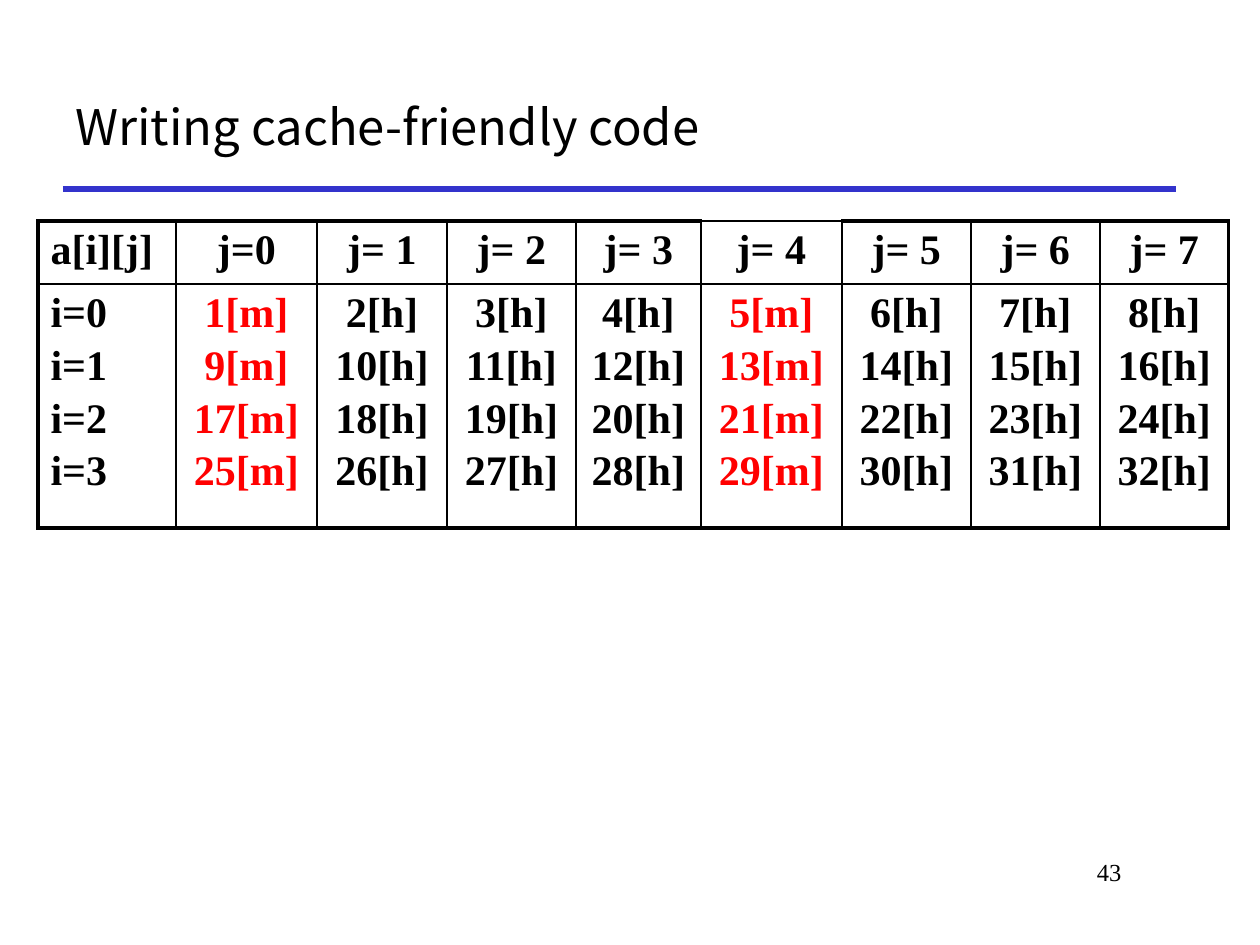
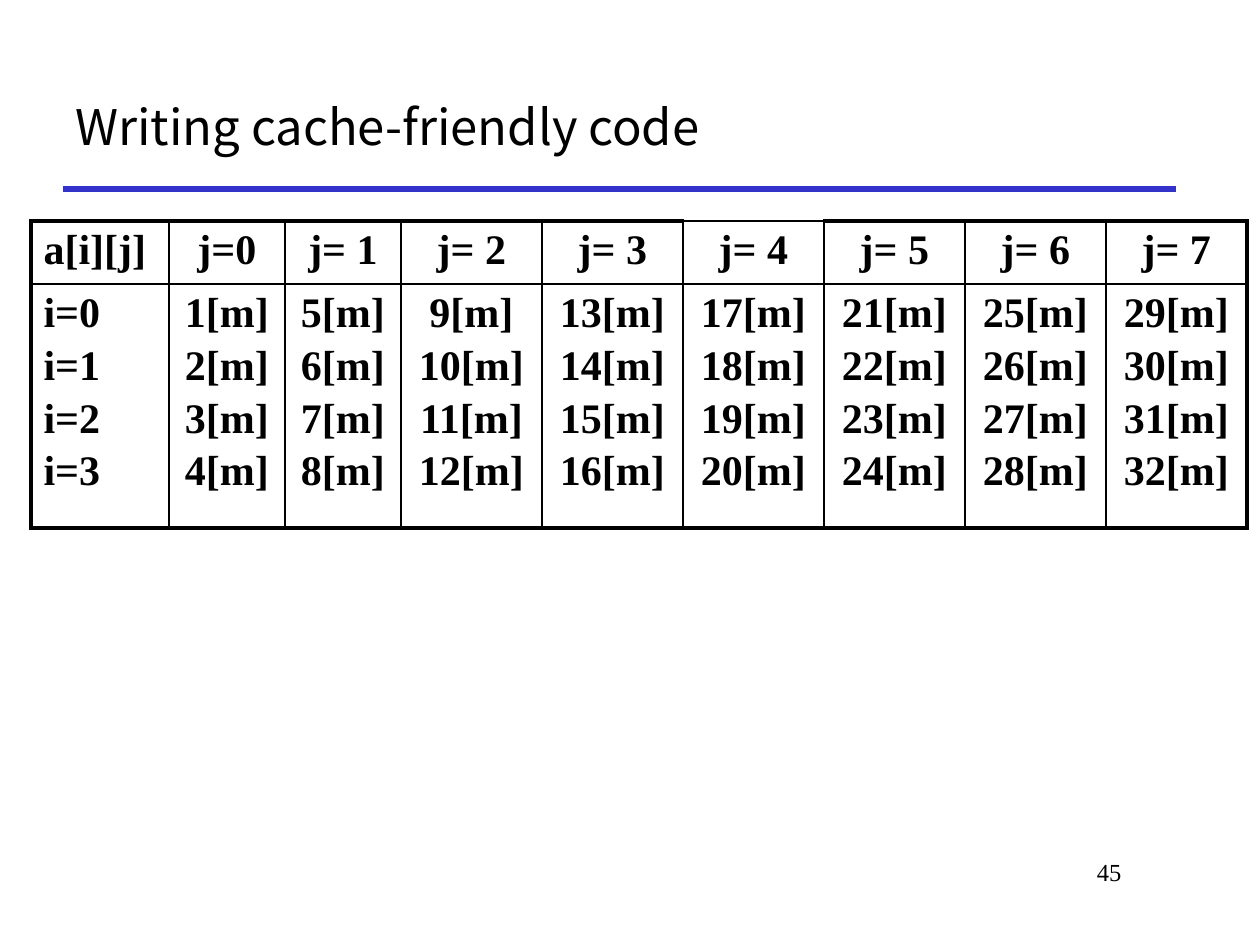
import pptx
import pptx.util
import pptx.dml.color
import pptx.enum.shapes
import pptx.enum.text
import lxml.etree
from pptx.oxml.ns import qn

PX = 914400 // 126
BLACK = pptx.dml.color.RGBColor(0x00, 0x00, 0x00)
RED = pptx.dml.color.RGBColor(0xFF, 0x00, 0x00)
BLUE = pptx.dml.color.RGBColor(0x33, 0x33, 0xCC)
TITLE_FONT, BODY_FONT = "Noto Sans CJK KR", "Times New Roman"
ALIGN = pptx.enum.text.PP_ALIGN
ROWS, COLS = 4, 8
THIN, THICK = 1, 2.25


def format_text(tf, font, size, color, align, bold=False, before=0):
    for p in tf.paragraphs:
        p.alignment = align
        p.space_before = pptx.util.Pt(before)
        for r in p.runs:
            r.font.name = font
            r.font.size = pptx.util.Pt(size)
            r.font.bold = bold
            r.font.color.rgb = color


def set_borders(cell, widths):
    tcPr = cell._tc.get_or_add_tcPr()
    for side, width in zip("LRTB", widths):
        ln = lxml.etree.SubElement(tcPr, qn("a:ln" + side), w=str(pptx.util.Pt(width)))
        fill = lxml.etree.SubElement(ln, qn("a:solidFill"))
        lxml.etree.SubElement(fill, qn("a:srgbClr"), val=str(BLACK))


# Access order of a[i][j]: by rows (one miss per block of 4), then by columns
by_rows = [[f"{COLS * i + j + 1}[{'h' if j % 4 else 'm'}]" for i in range(ROWS)]
           for j in range(COLS)]
by_columns = [[f"{ROWS * j + i + 1}[m]" for i in range(ROWS)] for j in range(COLS)]

# Page number, table left, column widths, accesses, colour of misses
pages = [
    ("43", 38, [138, 141, 130, 129, 125, 141, 129, 129, 129], by_rows, RED),
    ("45", 31, [138, 116, 116] + [141] * 6, by_columns, BLACK),
]

prs = pptx.Presentation()
prs.slide_width, prs.slide_height = 1260 * PX, 945 * PX

for number, left, widths, accesses, miss_color in pages:
    s = prs.slides.add_slide(prs.slide_layouts[5])

    # Title and rule
    title = s.shapes.title
    title.left, title.top, title.width, title.height = 63 * PX, 63 * PX, 1113 * PX, 126 * PX
    tf = title.text_frame
    tf.text = "Writing cache-friendly code"
    tf.auto_size = pptx.enum.text.MSO_AUTO_SIZE.NONE
    tf.vertical_anchor = pptx.enum.text.MSO_ANCHOR.MIDDLE
    format_text(tf, TITLE_FONT, 28, BLACK, ALIGN.LEFT)

    rule = s.shapes.add_connector(pptx.enum.shapes.MSO_CONNECTOR.STRAIGHT,
                                  63 * PX, 189 * PX, 1176 * PX, 189 * PX)
    rule.line.color.rgb = BLUE
    rule.line.width = pptx.util.Pt(3)
    lxml.etree.SubElement(rule._element.spPr, qn("a:effectLst"))

    # Page number
    tf = s.shapes.add_textbox(955 * PX, 851 * PX, 179 * PX, 63 * PX).text_frame
    tf.word_wrap = True
    tf.text = number
    format_text(tf, BODY_FONT, 14, BLACK, ALIGN.RIGHT)

    # Table of hits and misses
    table = s.shapes.add_table(2, COLS + 1, left * PX, 221 * PX,
                               sum(widths) * PX, 307 * PX).table
    table.first_row = table.horz_banding = False
    table.rows[0].height, table.rows[1].height = 63 * PX, 244 * PX
    header = ["a[i][j]", "j=0"] + [f"j= {j}" for j in range(1, COLS)]
    body = [[f"i={i}" for i in range(ROWS)]] + accesses
    for c, width in enumerate(widths):
        table.columns[c].width = width * PX
        for row, text in enumerate([header[c], "\n".join(body[c])]):
            cell = table.cell(row, c)
            cell.text_frame.text = text
            format_text(cell.text_frame, BODY_FONT, 24,
                        miss_color if "[m]" in text else BLACK,
                        ALIGN.CENTER if c else ALIGN.LEFT, bold=True, before=3.6)
            set_borders(cell, [THICK if c == 0 else THIN,
                               THICK if c == COLS else THIN,
                               THICK if row == 0 and header[c] != "j= 4" else THIN,
                               THICK if row == 1 else THIN])
            cell.fill.background()

prs.save("out.pptx")
